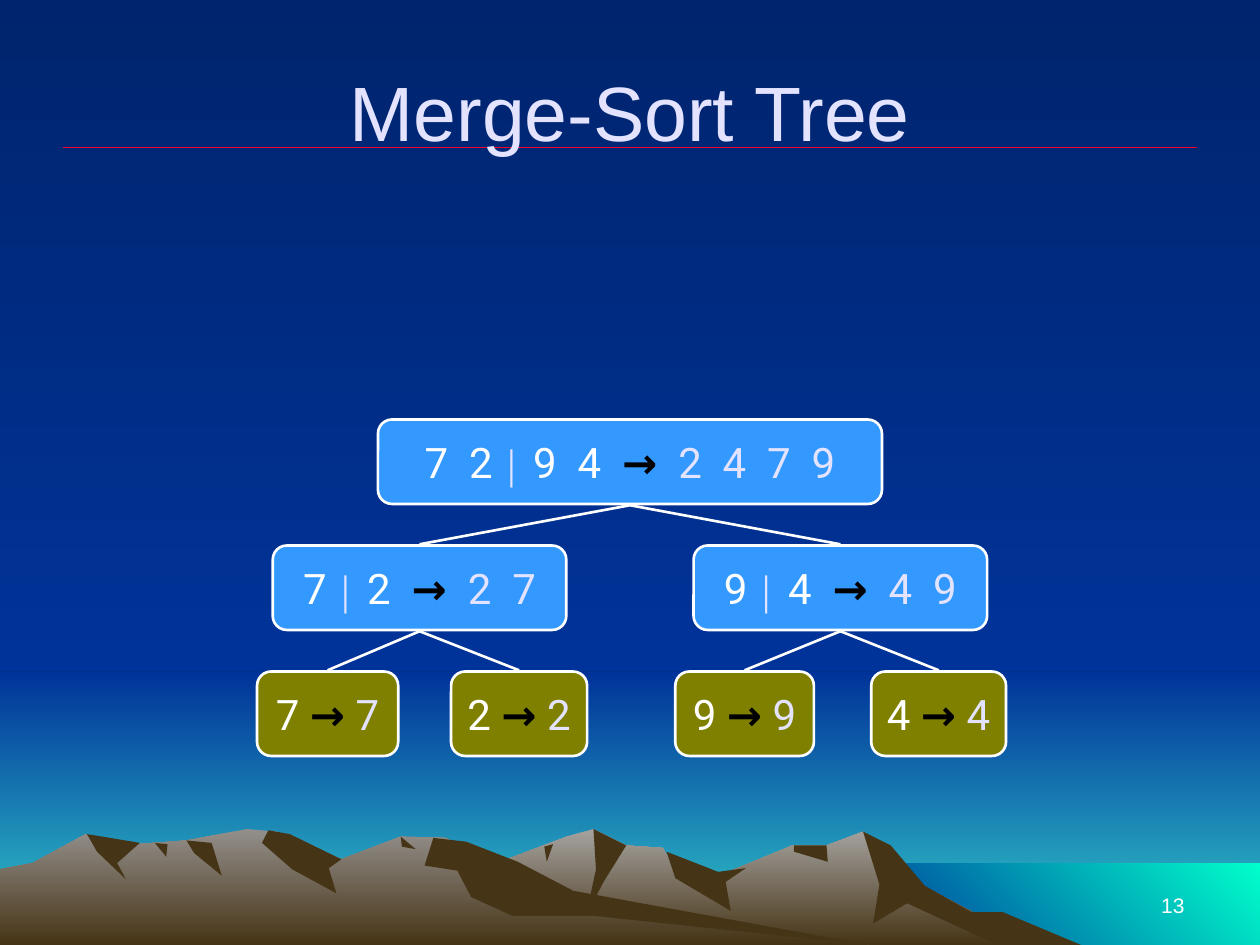
from lxml import etree
from pptx import Presentation
from pptx import util as u
from pptx.dml.color import RGBColor
from pptx.enum import shapes, text
from pptx.oxml.ns import qn

NIGHT = RGBColor(0x00, 0x24, 0x6D)
BLUE = RGBColor(0x00, 0x33, 0x99)
HORIZON = RGBColor(0x33, 0xCC, 0xCC)
AQUA = RGBColor(0x00, 0xFF, 0xCC)
ROCK = RGBColor(0x46, 0x34, 0x16)
FAR_PEAK = RGBColor(0xA5, 0xA2, 0x9F)
NEAR_PEAK = RGBColor(0x93, 0x8F, 0x8B)
RED = RGBColor(0xEF, 0x01, 0x29)
WHITE = RGBColor(0xFF, 0xFF, 0xFF)
BLACK = RGBColor(0x00, 0x00, 0x00)
LAVENDER = RGBColor(0xE3, 0xE3, 0xFF)
BRANCH = RGBColor(0x33, 0x99, 0xFF)
LEAF = RGBColor(0x80, 0x80, 0x00)

WIDTH, HEIGHT = 10, 7.5
SHORE = 5.33
TITLE, PAGE = "Merge-Sort Tree", "13"

# Tree levels, each node: centre, width, input halves, sorted output
LEVELS = [
    [(5, 4, ("72", "94"), "2479")],
    [(3.33, 2.33, ("7", "2"), "27"), (6.67, 2.33, ("9", "4"), "49")],
    [(2.6, 1.12, "7", "7"), (4.12, 1.08, "2", "2"),
     (5.91, 1.1, "9", "9"), (7.45, 1.07, "4", "4")],
]
TREE_TOP, NODE_HEIGHT, LINK_GAP = 3.33, 0.67, 0.01

# Backdrop bands: left, top, right, bottom, colours, angle
BANDS = [
    (0, SHORE, WIDTH, HEIGHT, (BLUE, HORIZON), 270),
    (0, 0, WIDTH, SHORE, (NIGHT, BLUE), 270),
    (6.83, 6.85, WIDTH, HEIGHT, (BLUE, AQUA), 45),
]

# Mountain slopes and their shaded sides, in hundredths of an inch
MOUNTAINS = [
    ((FAR_PEAK, ROCK), [
        (258, 750), (327, 709), (405, 681), (450, 664), (471, 658), (497, 671),
        (526, 673), (536, 690), (566, 697), (629, 671), (656, 671), (685, 660),
        (723, 698), (821, 750)]),
    ((ROCK,), [
        (685, 660), (707, 671), (734, 703), (771, 724), (796, 724), (858, 750),
        (792, 750), (720, 717), (693, 733), (698, 702)]),
    ((ROCK,), [(471, 658), (497, 671), (479, 700), (465, 727), (473, 690)]),
    ((ROCK,), [(529, 676), (570, 692), (592, 689), (576, 700), (580, 723),
               (536, 697)]),
    ((ROCK,), [(630, 671), (656, 671), (657, 684), (630, 676)]),
    ((ROCK,), [(432, 672), (439, 670), (434, 684)]),
    ((NEAR_PEAK, ROCK), [
        (0, 750), (0, 690), (26, 685), (68, 662), (94, 671), (148, 667),
        (196, 658), (219, 660), (271, 682), (318, 664), (354, 665), (432, 712),
        (690, 750)]),
    ((ROCK,), [(213, 659), (230, 662), (271, 682), (261, 689), (267, 709),
               (232, 690), (208, 669)]),
    ((ROCK,), [
        (344, 665), (370, 668), (411, 684), (455, 707), (690, 750), (472, 727),
        (407, 727), (374, 712), (363, 691), (337, 687)]),
    ((ROCK,), [(318, 664), (330, 674), (319, 672)]),
    ((ROCK,), [(148, 667), (168, 669), (176, 695), (154, 677)]),
    ((ROCK,), [(123, 669), (133, 670), (132, 680)]),
    ((ROCK,), [(69, 662), (111, 669), (93, 685), (100, 698), (77, 676)]),
]


def paint(fill, colours, angle=270):
    if len(colours) == 1:
        fill.solid()
        fill.fore_color.rgb = colours[0]
        return
    fill.gradient()
    fill.gradient_angle = angle
    for stop, colour in zip(fill.gradient_stops, colours):
        stop.color.rgb = colour


def add_line(slide, start, end, colour, weight):
    line = slide.shapes.add_connector(
        shapes.MSO_CONNECTOR.STRAIGHT, *map(u.Inches, start + end))
    line.line.color.rgb = colour
    line.line.width = u.Pt(weight)
    etree.SubElement(line._element.spPr, qn("a:effectLst"))


def write(frame, runs, align, anchor, wrap=True):
    frame.word_wrap = wrap
    frame.vertical_anchor = anchor
    line = frame.paragraphs[0]
    line.alignment = align
    for words, size, face, colour, bold in runs:
        run = line.add_run()
        run.text = words
        run.font.size = u.Pt(size)
        run.font.name = face
        run.font.color.rgb = colour
        run.font.bold = bold


def add_label(slide, box, words, size, colour, align, anchor):
    label = slide.shapes.add_textbox(*map(u.Inches, box))
    write(label.text_frame, [(words, size, "Arial", colour, False)], align, anchor)


def node_runs(halves, output):
    gap = "  " if len(halves) > 1 else " "
    left, *right = [gap.join(half) for half in halves]
    runs = [(left + " ", 24, "Roboto", WHITE, False)]
    for half in right:
        runs += [("│", 18, "Arial", LAVENDER, True),
                 (f" {half}{gap}", 24, "Roboto", WHITE, False)]
    return runs + [("→" + gap, 24, "Roboto", BLACK, True),
                   (gap.join(output), 24, "Roboto", LAVENDER, False)]


def add_backdrop(slide):
    paint(slide.background.fill, (NIGHT, BLUE))
    for left, top, right, bottom, colours, angle in BANDS:
        band = slide.shapes.add_shape(
            shapes.MSO_SHAPE.RECTANGLE,
            *map(u.Inches, (left, top, right - left, bottom - top)))
        band.shadow.inherit = False
        band.line.fill.background()
        paint(band.fill, colours, angle)
    for colours, outline in MOUNTAINS:
        builder = slide.shapes.build_freeform(*outline[0], scale=u.Inches(0.01))
        builder.add_line_segments(outline[1:], close=True)
        mountain = builder.convert_to_shape()
        mountain.shadow.inherit = False
        mountain.line.fill.background()
        paint(mountain.fill, colours)


def add_tree(slide):
    for level, nodes in enumerate(LEVELS):
        top = TREE_TOP + level
        for centre, width, halves, output in nodes:
            node = slide.shapes.add_shape(
                shapes.MSO_SHAPE.ROUNDED_RECTANGLE,
                *map(u.Inches, (centre - width / 2, top, width, NODE_HEIGHT)))
            node.shadow.inherit = False
            paint(node.fill, (BRANCH if len(halves) > 1 else LEAF,))
            node.line.color.rgb = WHITE
            node.line.width = u.Pt(1.5)
            write(node.text_frame, node_runs(halves, output),
                  text.PP_ALIGN.CENTER, text.MSO_ANCHOR.MIDDLE, wrap=False)
    # Links from each node up to its parent
    for level, nodes in enumerate(LEVELS[1:]):
        parent_bottom = TREE_TOP + level + NODE_HEIGHT
        child_top = TREE_TOP + level + 1
        for place, node in enumerate(nodes):
            parent = LEVELS[level][place // 2]
            add_line(slide, (node[0], child_top - LINK_GAP),
                     (parent[0], parent_bottom + LINK_GAP), WHITE, 1.5)


def main():
    deck = Presentation()
    deck.slide_width, deck.slide_height = u.Inches(WIDTH), u.Inches(HEIGHT)
    slide = deck.slides.add_slide(deck.slide_layouts[6])
    add_backdrop(slide)
    # Heading, rule and page number
    add_line(slide, (0.5, 1.17), (9.5, 1.17), RED, 0.75)
    add_label(slide, (7.17, 6.83, 2.33, 0.5), PAGE, 12, WHITE,
              text.PP_ALIGN.RIGHT, text.MSO_ANCHOR.BOTTOM)
    add_label(slide, (0.5, 0.25, 9, 1.25), TITLE, 44, LAVENDER,
              text.PP_ALIGN.CENTER, text.MSO_ANCHOR.MIDDLE)
    add_tree(slide)
    deck.save("out.pptx")


if __name__ == "__main__":
    main()
